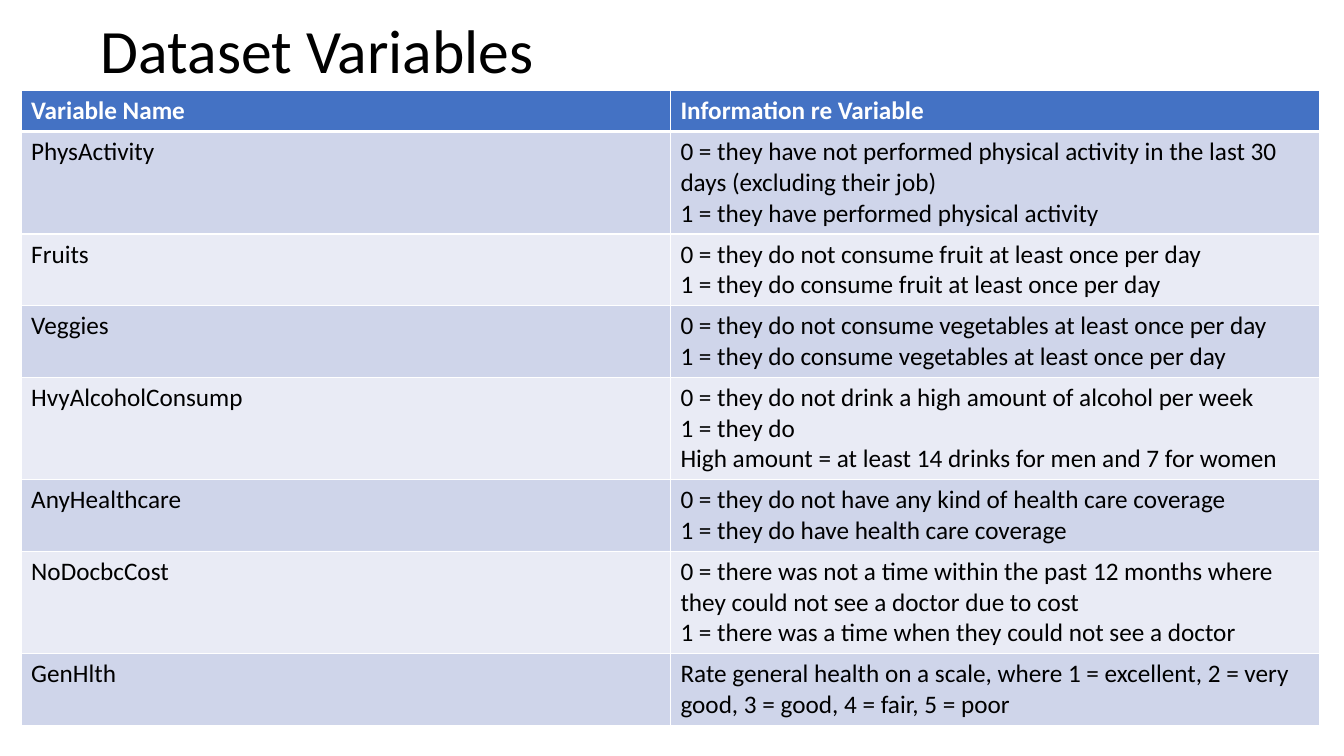
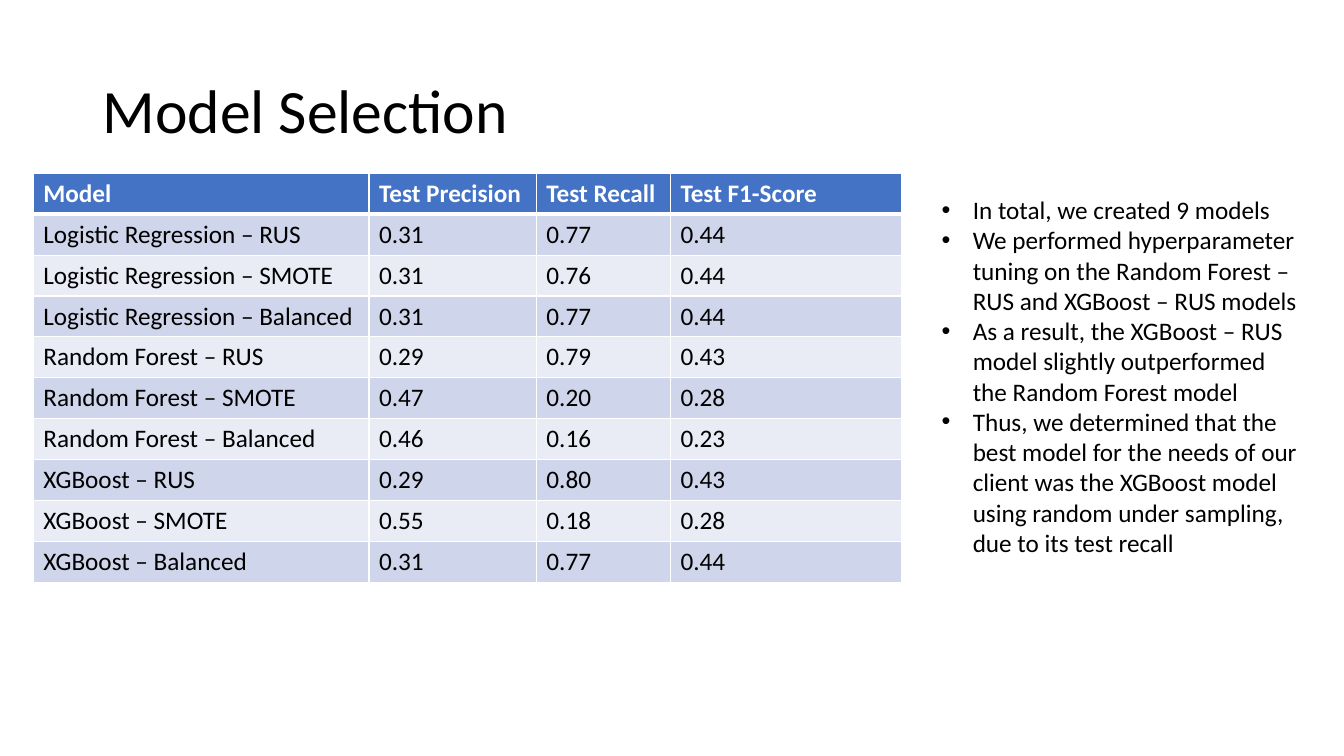
from lxml import etree
from pptx import Presentation
from pptx.dml.color import RGBColor
from pptx.enum.text import MSO_ANCHOR, MSO_AUTO_SIZE, PP_ALIGN
from pptx.oxml.ns import qn
from pptx.util import Inches, Pt

LEFT = PP_ALIGN.LEFT
MIDDLE = MSO_ANCHOR.MIDDLE
NO_FIT = MSO_AUTO_SIZE.NONE
GROW = MSO_AUTO_SIZE.SHAPE_TO_FIT_TEXT
TITLE_ONLY = 5

# Shared style
FONT = "Calibri"
COLORS = {"text": "000000", "header_text": "FFFFFF", "header": "4472C4",
          "odd_band": "CFD5EA", "even_band": "E9EBF5", "border": "FFFFFF"}
TITLE_SIZE, BODY_SIZE = 44, 18
TITLE_WIDTH, TITLE_HEIGHT = 11.5, 1.45
THIN, THICK = 1, 3
LINE_HEIGHT, ROW_PADDING = 0.305, 0.1
BULLET_INDENT = 0.31

# Content: each variable has its paragraphs and the number of lines they fill
VARIABLES = [
    ("PhysActivity", 3, [
        "0 = they have not performed physical activity in the last 30 days (excluding their job)",
        "1 = they have performed physical activity"]),
    ("Fruits", 2, [
        "0 = they do not consume fruit at least once per day",
        "1 = they do consume fruit at least once per day"]),
    ("Veggies", 2, [
        "0 = they do not consume vegetables at least once per day",
        "1 = they do consume vegetables at least once per day"]),
    ("HvyAlcoholConsump", 3, [
        "0 = they do not drink a high amount of alcohol per week",
        "1 = they do",
        "High amount = at least 14 drinks for men and 7 for women"]),
    ("AnyHealthcare", 2, [
        "0 = they do not have any kind of health care coverage",
        "1 = they do have health care coverage"]),
    ("NoDocbcCost", 3, [
        "0 = there was not a time within the past 12 months where they could not see a doctor due to cost",
        "1 = there was a time when they could not see a doctor"]),
    ("GenHlth", 2, [
        "Rate general health on a scale, where 1 = excellent, 2 = very good, 3 = good, 4 = fair, 5 = poor"]),
]
SCORES = [
    ("Model", "Test Precision", "Test Recall", "Test F1-Score"),
    ("Logistic Regression – RUS", "0.31", "0.77", "0.44"),
    ("Logistic Regression – SMOTE", "0.31", "0.76", "0.44"),
    ("Logistic Regression – Balanced", "0.31", "0.77", "0.44"),
    ("Random Forest – RUS", "0.29", "0.79", "0.43"),
    ("Random Forest – SMOTE", "0.47", "0.20", "0.28"),
    ("Random Forest – Balanced", "0.46", "0.16", "0.23"),
    ("XGBoost – RUS", "0.29", "0.80", "0.43"),
    ("XGBoost – SMOTE", "0.55", "0.18", "0.28"),
    ("XGBoost – Balanced", "0.31", "0.77", "0.44"),
]
FINDINGS = [
    "In total, we created 9 models",
    "We performed hyperparameter tuning on the Random Forest – RUS and XGBoost – RUS models",
    "As a result, the XGBoost – RUS model slightly outperformed the Random Forest model",
    "Thus, we determined that the best model for the needs of our client was the XGBoost model "
    "using random under sampling, due to its test recall",
]


def color(name):
    return RGBColor.from_string(COLORS[name])


def write(frame, texts, size=BODY_SIZE, ink="text", bold=False):
    """Write one paragraph per text and return the paragraphs."""
    for index, text in enumerate(texts):
        para = frame.paragraphs[0] if index == 0 else frame.add_paragraph()
        para.alignment = LEFT
        span = para.add_run()
        span.text = text
        span.font.name, span.font.size, span.font.bold = FONT, Pt(size), bold
        span.font.color.rgb = color(ink)
    return frame.paragraphs


def add_page(deck, title, left, top):
    page = deck.slides.add_slide(deck.slide_layouts[TITLE_ONLY])
    box = page.shapes.title
    box.left, box.top = Inches(left), Inches(top)
    box.width, box.height = Inches(TITLE_WIDTH), Inches(TITLE_HEIGHT)
    frame = box.text_frame
    frame.auto_size, frame.vertical_anchor = NO_FIT, MIDDLE
    write(frame, [title], TITLE_SIZE)[0].line_spacing = 0.9
    return page


def add_borders(cell, top, bottom):
    properties = cell._tc.get_or_add_tcPr()
    for side, width in (("L", THIN), ("R", THIN), ("T", top), ("B", bottom)):
        line = etree.SubElement(properties, qn("a:ln" + side), w=str(Pt(width)))
        fill = etree.SubElement(line, qn("a:solidFill"))
        etree.SubElement(fill, qn("a:srgbClr"), val=COLORS["border"])


def add_banded_table(page, left, top, widths, rows, line_counts):
    """Each cell is a list of paragraphs; line counts set the row heights."""
    heights = [ROW_PADDING + LINE_HEIGHT * count for count in line_counts]
    table = page.shapes.add_table(len(rows), len(widths), Inches(left), Inches(top),
                                  Inches(sum(widths)), Inches(sum(heights))).table
    table.first_row = table.horz_banding = False
    for column, width in zip(table.columns, widths):
        column.width = Inches(width)
    for row_index, (row, height) in enumerate(zip(rows, heights)):
        table.rows[row_index].height = Inches(height)
        header = row_index == 0
        band = "header" if header else "odd_band" if row_index % 2 else "even_band"
        for column_index, texts in enumerate(row):
            cell = table.cell(row_index, column_index)
            add_borders(cell, THICK if row_index == 1 else THIN, THICK if header else THIN)
            cell.fill.solid()
            cell.fill.fore_color.rgb = color(band)
            write(cell.text_frame, texts, ink="header_text" if header else "text", bold=header)


def add_bullets(page, left, top, width, height, texts):
    box = page.shapes.add_textbox(Inches(left), Inches(top), Inches(width), Inches(height))
    frame = box.text_frame
    frame.word_wrap, frame.auto_size = True, GROW
    for para in write(frame, texts):
        properties = para._p.get_or_add_pPr()
        properties.set("marL", str(Inches(BULLET_INDENT)))
        properties.set("indent", str(-Inches(BULLET_INDENT)))
        etree.SubElement(properties, qn("a:buFont"), typeface="Arial")
        etree.SubElement(properties, qn("a:buChar"), char="•")


def main():
    deck = Presentation()
    deck.slide_width, deck.slide_height = Inches(13.33), Inches(7.5)

    # Dataset variables
    page = add_page(deck, "Dataset Variables", 0.9, -0.19)
    rows = [(["Variable Name"], ["Information re Variable"])]
    rows += [([name], texts) for name, _, texts in VARIABLES]
    line_counts = [1] + [count for _, count, _ in VARIABLES]
    add_banded_table(page, 0.21, 0.9, [6.44, 6.44], rows, line_counts)

    # Model selection
    page = add_page(deck, "Model Selection", 0.92, 0.4)
    rows = [[[text] for text in row] for row in SCORES]
    add_banded_table(page, 0.33, 1.72, [3.33, 1.66, 1.33, 2.29], rows, [1] * len(rows))
    add_bullets(page, 9.24, 1.88, 3.76, 3.74, FINDINGS)

    deck.save("out.pptx")


if __name__ == "__main__":
    main()
